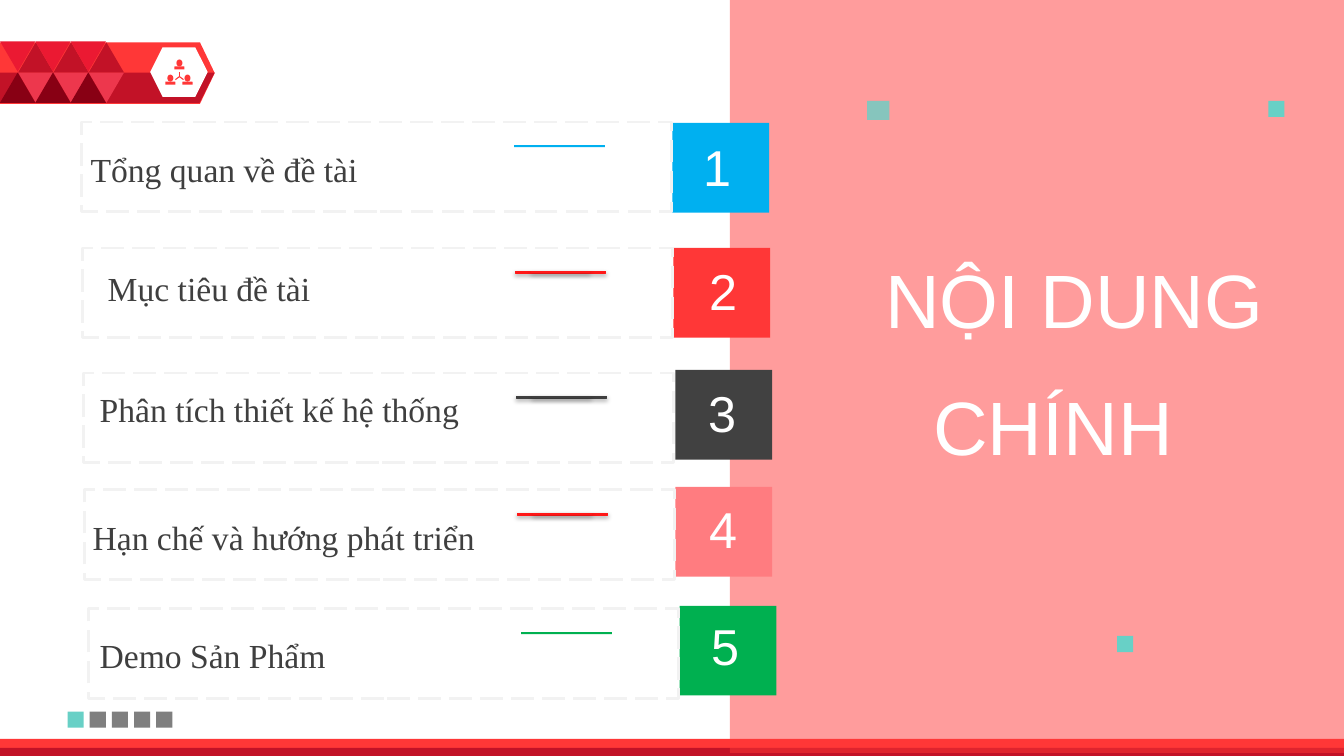
from lxml import etree
from pptx import Presentation
from pptx.dml.color import RGBColor
from pptx.enum.dml import MSO_LINE
from pptx.enum.shapes import MSO_CONNECTOR, MSO_SHAPE
from pptx.enum.text import MSO_ANCHOR, MSO_AUTO_SIZE, PP_ALIGN
from pptx.oxml.ns import qn
from pptx.util import Inches, Pt

RECT, OVAL, TRIANGLE = MSO_SHAPE.RECTANGLE, MSO_SHAPE.OVAL, MSO_SHAPE.ISOSCELES_TRIANGLE
PENTAGON, HEXAGON = MSO_SHAPE.PENTAGON, MSO_SHAPE.HEXAGON
SHOULDERS, STRAIGHT = MSO_SHAPE.ROUND_2_SAME_RECTANGLE, MSO_CONNECTOR.STRAIGHT
LEFT, CENTER, RIGHT = PP_ALIGN.LEFT, PP_ALIGN.CENTER, PP_ALIGN.RIGHT
TOP, NO_FIT, LONG_DASH = MSO_ANCHOR.TOP, MSO_AUTO_SIZE.NONE, MSO_LINE.LONG_DASH

COLORS = {
    "red": "FF3737", "dark_red": "C21227", "crimson": "EB1932", "rose": "ED374D",
    "maroon": "880014", "teal": "68D0C6", "gray": "7F7F7F", "white": "FFFFFF",
    "text": "3F3F3F", "dash": "F2F2F2", "blue": "00B0F0", "charcoal": "414141",
    "pink": "FF7C80", "green": "00B050", "rule_red": "FF1818",
}

# label, label position, frame position, tile position, number position,
# tile colour, rule colour, raised rule
TOPICS = [
    ("Tổng quan về đề tài", (0.8, 1.43), (0.81, 1.21), (6.67, 1.22), (6.77, 1.3),
     "blue", "blue", False),
    ("Mục tiêu đề tài", (0.97, 2.61), (0.82, 2.46), (6.68, 2.46), (6.83, 2.53),
     "red", "rule_red", True),
    ("Phân tích thiết kế hệ thống", (0.89, 3.81), (0.83, 3.7), (6.7, 3.67), (6.82, 3.74),
     "charcoal", "text", True),
    ("Hạn chế và hướng phát triển", (0.82, 5.08), (0.84, 4.86), (6.7, 4.83), (6.83, 4.89),
     "pink", "rule_red", True),
    ("Demo Sản Phẩm", (0.89, 6.25), (0.88, 6.04), (6.74, 6.01), (6.85, 6.05),
     "green", "green", False),
]


class Deck:
    """Holds the style and the current slide."""
    heading_font, label_font = "Arial", "Times New Roman"

    def __init__(self, prs):
        self.s = prs.slides.add_slide(prs.slide_layouts[5])

    def color(self, name):
        return RGBColor.from_string(COLORS[name])

    def shape(self, kind, x, y, w, h, fill=None, alpha=None, rotation=0):
        sp = self.s.shapes.add_shape(kind, Inches(x), Inches(y), Inches(w), Inches(h))
        sp.shadow.inherit = False
        sp.rotation = rotation
        sp.line.fill.background()
        if fill is None:
            sp.fill.background()
            return sp
        sp.fill.solid()
        sp.fill.fore_color.rgb = self.color(fill)
        if alpha is not None:
            clr = sp.element.spPr.find(qn("a:solidFill")).find(qn("a:srgbClr"))
            etree.SubElement(clr, qn("a:alpha")).set("val", str(alpha * 1000))
        return sp

    def outline(self, points, fill):
        start, *rest = [(Inches(x), Inches(y)) for x, y in points]
        builder = self.s.shapes.build_freeform(*start)
        builder.add_line_segments(rest, close=True)
        sp = builder.convert_to_shape()
        sp.shadow.inherit = False
        sp.fill.solid()
        sp.fill.fore_color.rgb = self.color(fill)
        sp.line.fill.background()

    def frame(self, x, y, w, h):
        sp = self.shape(RECT, x, y, w, h)
        sp.line.color.rgb = self.color("dash")
        sp.line.width = Pt(2)
        sp.line.dash_style = LONG_DASH

    def rule(self, cx, cy, w, h, fill, raised):
        sp = self.shape(RECT, cx - w / 2, cy - h / 2, w, h, fill)
        if raised:
            sp.line.color.rgb = self.color(fill)
            sp.line.width = Pt(0.75)
            effects = sp.element.spPr.find(qn("a:effectLst"))
            shadow = etree.SubElement(effects, qn("a:outerShdw"), blurRad=str(Pt(3.1)),
                                      dist=str(Pt(1.8)), dir="5400000", rotWithShape="0")
            clr = etree.SubElement(shadow, qn("a:srgbClr"), val="000000")
            etree.SubElement(clr, qn("a:alpha"), val="35000")

    def set_text(self, sp, text, size, font, color, align):
        tf = sp.text_frame
        tf.text = text
        tf.word_wrap = True
        tf.auto_size = NO_FIT
        tf.vertical_anchor = TOP
        p = tf.paragraphs[0]
        p.alignment = align
        r = p.runs[0]
        r.font.size = Pt(size)
        r.font.name = font
        r.font.color.rgb = self.color(color)

    def text(self, text, x, y, w, h, size, font, color, align):
        sp = self.s.shapes.add_textbox(Inches(x), Inches(y), Inches(w), Inches(h))
        self.set_text(sp, text, size, font, color, align)

    def title(self, text, x, y, w, h):
        sp = self.s.shapes.title
        sp.left, sp.top, sp.width, sp.height = Inches(x), Inches(y), Inches(w), Inches(h)
        self.set_text(sp, text, 54, self.heading_font, "white", RIGHT)
        # Bring the title in front of the panel
        sp.element.getparent().append(sp.element)

    def person(self, cx, y):
        self.shape(OVAL, cx - 0.03, y, 0.06, 0.07, "red")
        self.shape(SHOULDERS, cx - 0.05, y + 0.07, 0.1, 0.03, "red")

    def link(self, x1, y1, x2, y2):
        c = self.s.shapes.add_connector(STRAIGHT, Inches(x1), Inches(y1),
                                        Inches(x2), Inches(y2))
        c.line.color.rgb = self.color("red")
        c.line.width = Pt(0.75)
        etree.SubElement(c.element.spPr, qn("a:effectLst"))

    def topic(self, number, label, label_at, frame_at, tile_at, number_at,
              fill, rule_fill, raised):
        self.shape(RECT, *tile_at, 0.96, 0.89, fill)
        self.text(str(number), *number_at, 0.7, 0.71, 36, self.heading_font, "white", CENTER)
        x, y = frame_at
        for w, h in ((0.9, 0.02), (0.58, 0.01)):
            self.rule(x + 4.74, y + 0.24, w, h, rule_fill, raised)
        self.frame(x, y, 5.85, 0.89)
        self.text(label, *label_at, 5.31, 0.5, 24, self.label_font, "text", LEFT)


def main():
    prs = Presentation()
    prs.slide_width, prs.slide_height = Inches(13.33), Inches(7.5)
    deck = Deck(prs)

    # Banner with its hexagon
    banner = deck.shape(PENTAGON, 0, 0.42, 2.13, 0.61, "red")
    banner.adjustments[0] = 0.24
    deck.outline([(0, 0.72), (2.13, 0.72), (1.98, 1.02), (0, 1.02)], "dark_red")
    deck.shape(HEXAGON, 1.49, 0.47, 0.57, 0.49, "white")

    # People icon
    for cx, y in ((1.78, 0.59), (1.69, 0.74), (1.86, 0.74)):
        deck.person(cx, y)
    for x, y in ((1.78, 0.71), (1.74, 0.79), (1.82, 0.79)):
        deck.link(1.78, 0.76, x, y)

    # Banner triangles
    for i in range(3):
        x = 0.35 * i
        for dx, y, fill, rotation in ((0, 0.41, "crimson", 180), (0.18, 0.42, "dark_red", 0),
                                      (0.18, 0.72, "rose", 180), (0, 0.72, "maroon", 0)):
            deck.shape(TRIANGLE, x + dx, y, 0.35, 0.3, fill, rotation=rotation)

    # Footer bands and right panel
    deck.shape(RECT, 0, 7.33, 13.33, 0.16, "red")
    deck.shape(RECT, 0, 7.42, 13.33, 0.08, "dark_red")
    deck.shape(RECT, 7.24, -0.03, 6.09, 7.5, "red", alpha=49)

    # Heading
    deck.title("NỘI DUNG", 5.96, 2.46, 6.67, 1.01)
    deck.text("CHÍNH", 5.06, 3.72, 6.67, 1.01, 54, deck.heading_font, "white", RIGHT)

    # Small squares
    deck.shape(RECT, 8.6, 1, 0.22, 0.19, "teal", alpha=80)
    for x, y in ((11.08, 6.31), (12.58, 1)):
        deck.shape(RECT, x, y, 0.16, 0.16, "teal")
    for i in range(5):
        deck.shape(RECT, 0.67 + 0.22 * i, 7.06, 0.16, 0.16, "gray" if i else "teal")

    # Topics
    for number, topic in enumerate(TOPICS, 1):
        deck.topic(number, *topic)

    prs.save("out.pptx")


if __name__ == "__main__":
    main()
